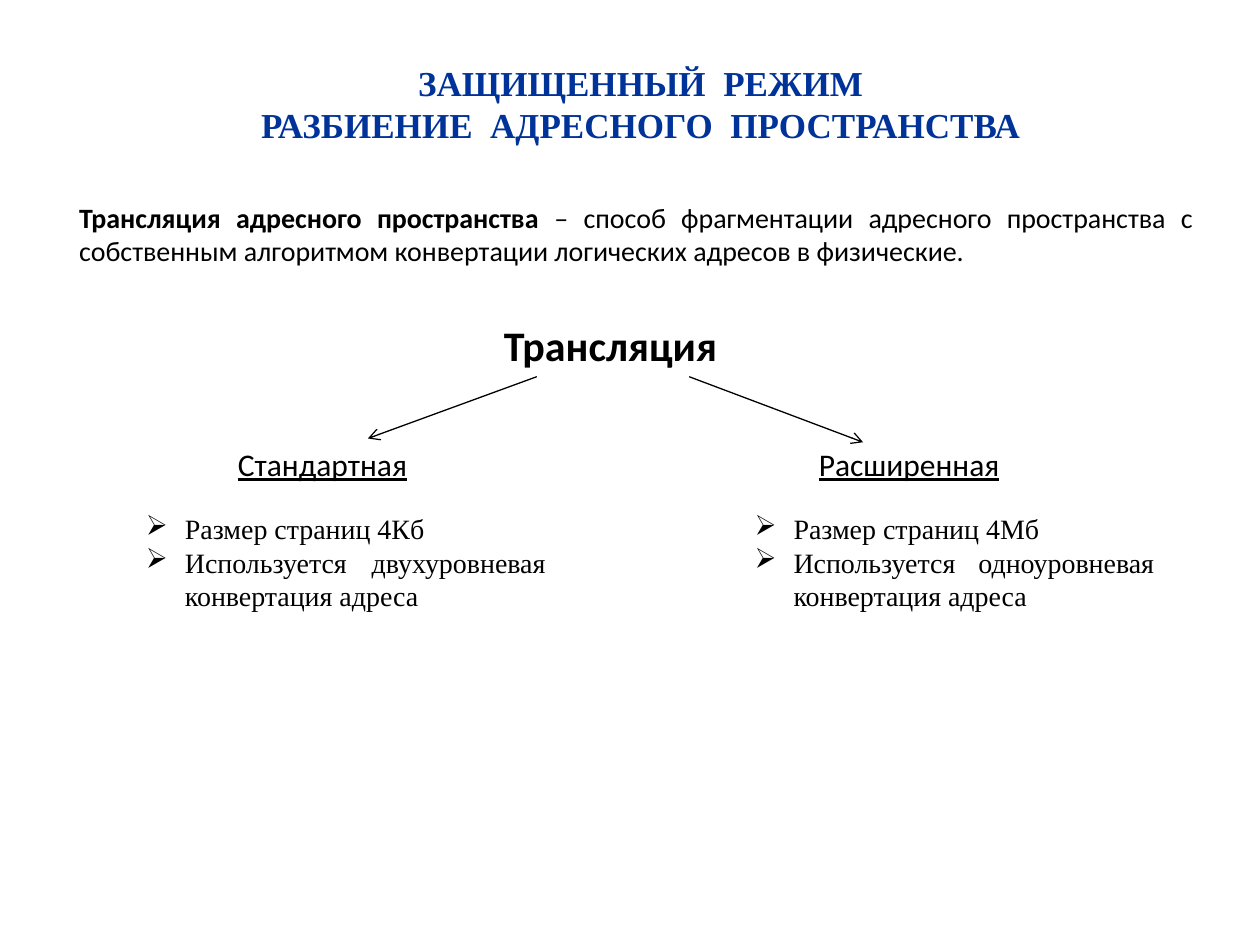
from collections import namedtuple
from dataclasses import dataclass

from lxml.etree import SubElement
from pptx import Presentation
from pptx.dml.color import RGBColor
from pptx.enum.shapes import MSO_CONNECTOR
from pptx.enum.text import MSO_AUTO_SIZE, PP_ALIGN as AL
from pptx.oxml.ns import qn
from pptx.util import Emu, Pt

PX = 9144  # EMU per px, 100 px to the inch
Box = namedtuple("Box", "x y w h")


@dataclass(frozen=True)
class Theme:
    ink: RGBColor = RGBColor(0, 0, 0)
    accent: RGBColor = RGBColor(0x00, 0x33, 0x99)
    serif: str = "Times New Roman"
    sans: str = "Calibri"
    title: int = 20
    root: int = 24
    heading: int = 18
    body: int = 16
    line: float = 0.75


T = Theme()


def px(n):
    return Emu(n * PX)


def add_bullet(p, indent=31, char="➢"):
    pPr = p._p.get_or_add_pPr()
    pPr.set("marL", str(px(indent)))
    pPr.set("indent", str(px(-indent)))
    SubElement(pPr, qn("a:buChar")).set("char", char)


def add_text(s, box, paragraphs, size=T.body, font=T.sans, color=T.ink, bold=False,
             underline=False, align=AL.LEFT, wrap=True, bullets=False, first_spacing=None):
    """Each paragraph is a string or a list of (text, bold) runs."""
    sp = s.shapes.add_textbox(*map(px, box))
    tf = sp.text_frame
    tf.word_wrap = wrap
    tf.auto_size = MSO_AUTO_SIZE.SHAPE_TO_FIT_TEXT
    for i, content in enumerate(paragraphs):
        p = tf.add_paragraph() if i else tf.paragraphs[0]
        p.alignment = align
        if i == 0 and first_spacing:
            p.line_spacing = first_spacing
        if bullets:
            add_bullet(p)
        runs = [(content, bold)] if isinstance(content, str) else content
        for text, run_bold in runs:
            r = p.add_run()
            r.text = text
            f = r.font
            f.name, f.size, f.bold, f.underline = font, Pt(size), run_bold, underline
            f.color.rgb = color
    return sp


def add_arrow(s, start, end):
    c = s.shapes.add_connector(MSO_CONNECTOR.STRAIGHT, *map(px, (*start, *end)))
    c.line.color.rgb = T.ink
    c.line.width = Pt(T.line)
    SubElement(c.line._get_or_add_ln(), qn("a:tailEnd")).set("type", "arrow")
    SubElement(c._element.spPr, qn("a:effectLst"))


def add_title(s, box):
    add_text(s, box, ["ЗАЩИЩЕННЫЙ  РЕЖИМ", "РАЗБИЕНИЕ  АДРЕСНОГО  ПРОСТРАНСТВА"],
             size=T.title, font=T.serif, color=T.accent, bold=True, align=AL.CENTER)


def add_definition(s, box):
    add_text(s, box, [[
        ("Трансляция адресного пространства ", True),
        ("– способ фрагментации адресного пространства с собственным "
         "алгоритмом конвертации логических адресов в физические.", False),
    ]], align=AL.JUSTIFY)


def add_branch(s, box, heading, heading_dx, heading_w, items):
    heading_h = 40
    add_text(s, Box(box.x + heading_dx, box.y, heading_w, heading_h), [heading],
             size=T.heading, underline=True, align=AL.CENTER, wrap=False)
    add_text(s, Box(box.x, box.y + heading_h, box.w, box.h - heading_h), items,
             font=T.serif, align=AL.JUSTIFY, bullets=True, first_spacing=1.5)


def add_tree(s, box):
    """Root label, two arrows and two branches."""
    root = Box(box.x + 284, box.y, 191, 50)
    add_text(s, root, ["Трансляция"], size=T.root, bold=True, wrap=False)
    fork_y = root.y + root.h
    branch_y, branch_w = box.y + 99, 337
    left = Box(box.x, branch_y, branch_w, 144)
    right = left._replace(x=box.x + box.w - branch_w)
    add_arrow(s, (root.x + 36, fork_y), (left.x + 186, branch_y))
    add_arrow(s, (root.x + 157, fork_y), (right.x + 96, branch_y + 3))
    add_branch(s, left, "Стандартная", 72, 156,
               ["Размер страниц 4Кб", "Используется двухуровневая конвертация адреса"])
    add_branch(s, right, "Расширенная", 50, 165,
               ["Размер страниц 4Мб", "Используется одноуровневая конвертация адреса"])


def main():
    prs = Presentation()
    prs.slide_width, prs.slide_height = px(1000), px(750)
    s = prs.slides.add_slide(prs.slide_layouts[6])
    add_title(s, Box(106, 44, 805, 77))
    add_definition(s, Box(53, 154, 904, 64))
    add_tree(s, Box(106, 249, 820, 243))
    prs.save("out.pptx")


if __name__ == "__main__":
    main()
